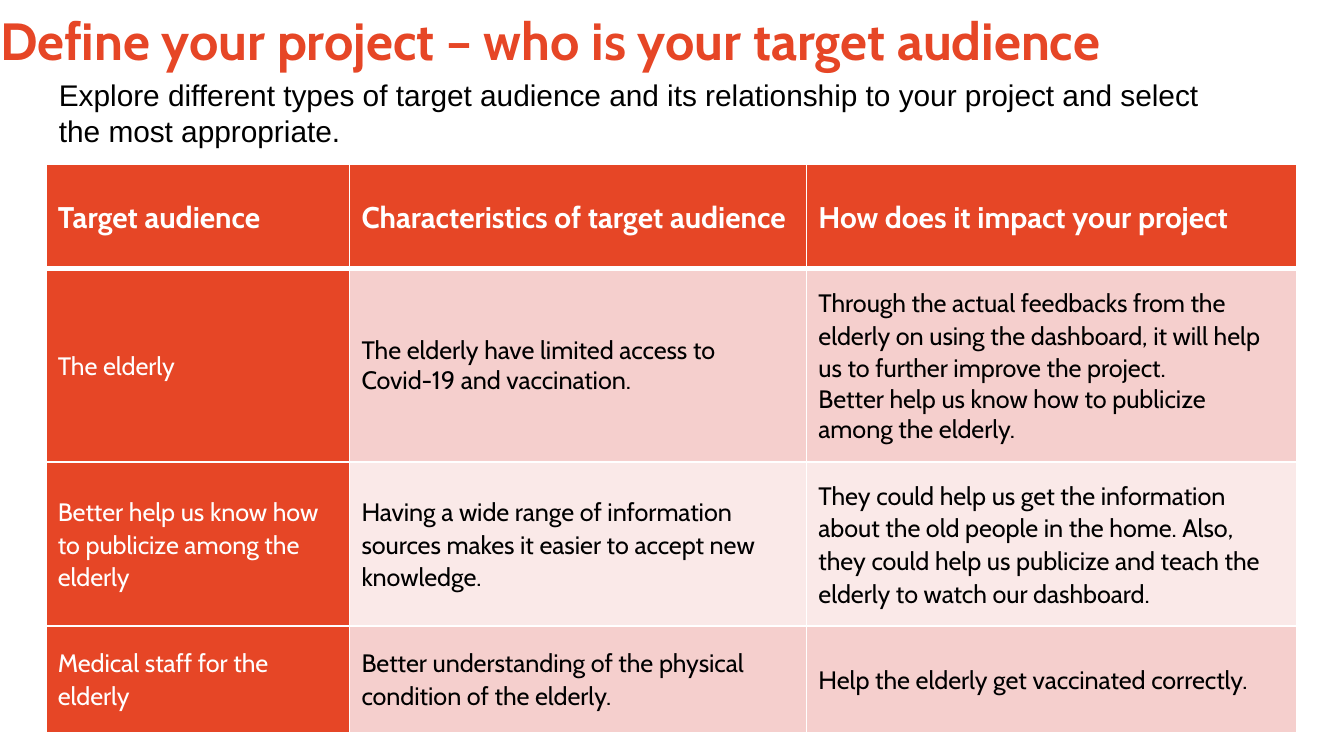
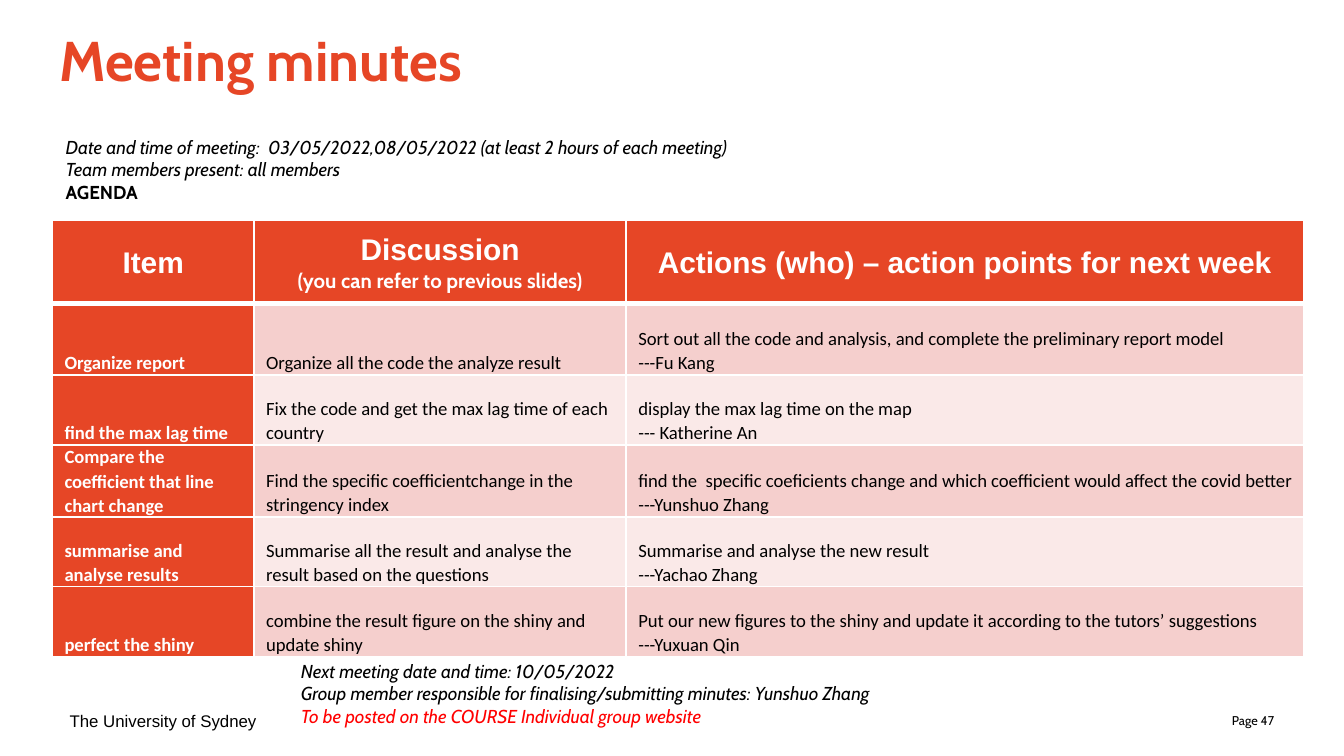
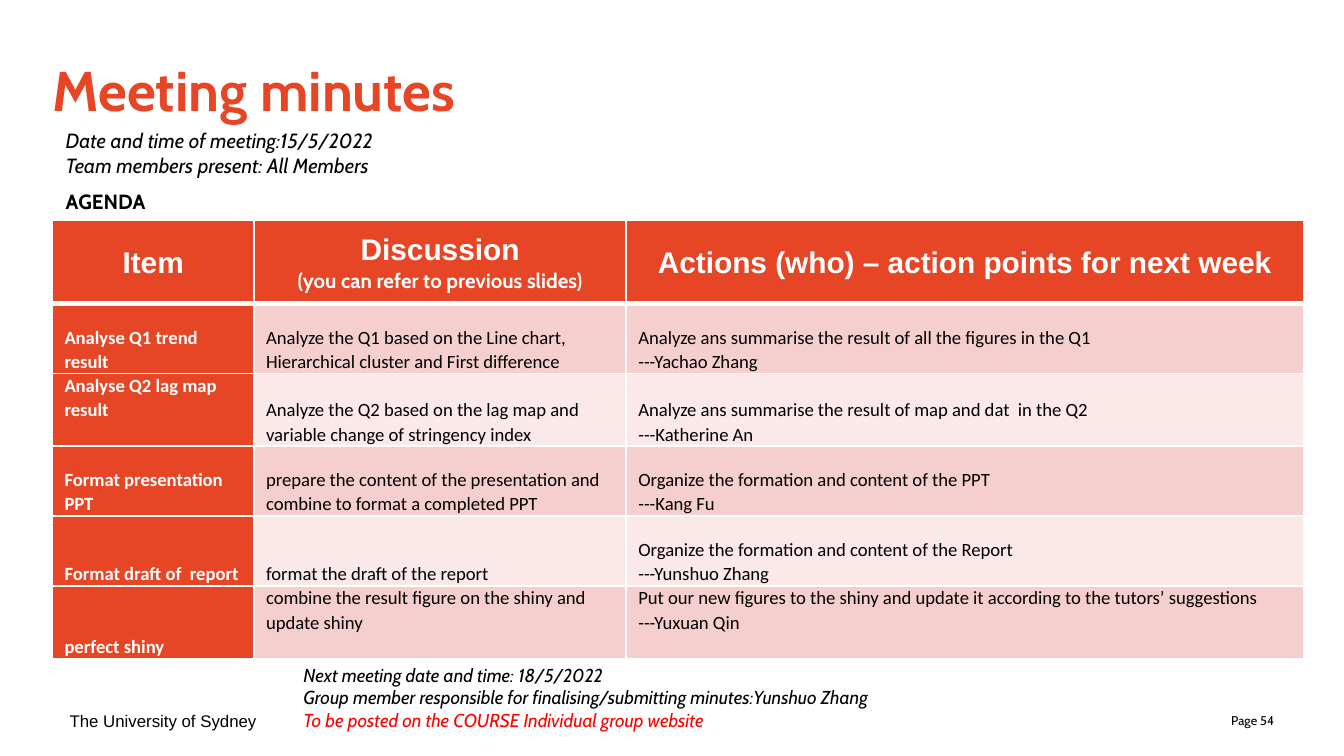
from dataclasses import dataclass, replace

from lxml.etree import SubElement
from pptx import Presentation
from pptx.dml.color import RGBColor
from pptx.enum.text import MSO_ANCHOR, PP_ALIGN
from pptx.oxml.ns import qn
from pptx.util import Inches, Pt

RED, PINK, PALE = "E64626", "F5CFCD", "FAE9E8"
WHITE, BLACK, ALERT = "FFFFFF", "000000", "FF0000"
LEAD = 1.07


@dataclass(frozen=True)
class Face:
    size: float
    font: str = "Cabin"
    color: str = BLACK
    bold: bool = False
    italic: bool = False


@dataclass(frozen=True)
class Line:
    """One paragraph with its look."""
    text: str
    face: Face
    lead: float | None = None
    align: PP_ALIGN = PP_ALIGN.LEFT
    gap: float = 0


@dataclass(frozen=True)
class Box:
    left: float
    top: float
    width: float
    height: float


@dataclass(frozen=True)
class Cell:
    lines: list[Line]
    anchor: MSO_ANCHOR


@dataclass(frozen=True)
class Task:
    item: str
    talk: str
    act: str
    who: str
    top: tuple[int, ...] = ()  # columns whose text sits at the top
    height: float = 0.52


@dataclass(frozen=True)
class Meeting:
    title: Box
    intro: Box
    outro: Box
    heads: list[Line]
    tasks: list[Task]
    ends: list[str]
    page: int


HEAD = Face(16, "Arial", WHITE, bold=True)
ITEM = Face(10, "Calibri", WHITE, bold=True)
BODY = Face(10, "Calibri")
NOTE = Face(10, italic=True)
LARGE = replace(NOTE, size=11)
SIDE = Face(13.5, color=WHITE)
TEXT = Face(13.5)
TOP, MID, LOW = MSO_ANCHOR.TOP, MSO_ANCHOR.MIDDLE, MSO_ANCHOR.BOTTOM


def rgb(color: str) -> RGBColor:
    return RGBColor.from_string(color)


def write(frame, lines: list[Line]) -> None:
    for i, line in enumerate(lines):
        para = frame.add_paragraph() if i else frame.paragraphs[0]
        para.alignment = line.align
        if line.lead:
            para.line_spacing = line.lead
        if line.gap:
            para.space_before = Pt(line.gap)
        run = para.add_run()
        run.text = line.text
        font, face = run.font, line.face
        font.size, font.name = Pt(face.size), face.font
        font.bold, font.italic = face.bold, face.italic
        font.color.rgb = rgb(face.color)


def place(shape, box: Box) -> None:
    shape.left, shape.top = Inches(box.left), Inches(box.top)
    shape.width, shape.height = Inches(box.width), Inches(box.height)


def add_text(slide, box: Box, lines: list[Line], anchor=TOP) -> None:
    shape = slide.shapes.add_textbox(0, 0, 0, 0)
    place(shape, box)
    frame = shape.text_frame
    frame.word_wrap = True
    frame.vertical_anchor = anchor
    write(frame, lines)


def add_slide(deck, text: str, box: Box, size: float):
    slide = deck.slides.add_slide(deck.slide_layouts[5])
    title = slide.shapes.title
    place(title, box)
    frame = title.text_frame
    frame.margin_left = frame.margin_right = 0
    frame.margin_top = frame.margin_bottom = 0
    frame.word_wrap, frame.vertical_anchor = True, TOP
    write(frame, [Line(text, Face(size, color=RED, bold=True))])
    return slide


def add_foot(slide, page: int) -> None:
    number = Line(f"Page {page}", Face(6.8), align=PP_ALIGN.RIGHT)
    add_text(slide, Box(7.25, 5.21, 2.33, 0.3), [number], MID)
    school = Line("The University of Sydney", Face(9, "Arial"))
    add_text(slide, Box(0.42, 5.21, 2.33, 0.3), [school], MID)


def edge(cell, side: str, width: float) -> None:
    """Draw one white border of a cell."""
    line = SubElement(cell._tc.get_or_add_tcPr(), qn(f"a:ln{side}"), w=str(Pt(width)))
    fill = SubElement(line, qn("a:solidFill"))
    SubElement(fill, qn("a:srgbClr"), val=WHITE)


def add_grid(slide, left: float, top: float, cols: list[float],
             rows: list[float], cells: list[list[Cell]]) -> None:
    """Table with a red header row and first column, and pink bands."""
    table = slide.shapes.add_table(
        len(rows), len(cols), Inches(left), Inches(top),
        Inches(sum(cols)), Inches(sum(rows))).table
    for col, width in zip(table.columns, cols):
        col.width = Inches(width)
    for row, height in zip(table.rows, rows):
        row.height = Inches(height)
    for r, line in enumerate(cells):
        for c, item in enumerate(line):
            cell = table.cell(r, c)
            cell.margin_left = cell.margin_right = Inches(0.09)
            cell.margin_top = cell.margin_bottom = 0
            cell.vertical_anchor = item.anchor
            edge(cell, "L", 1)
            edge(cell, "R", 1)
            edge(cell, "T", 3 if r == 1 else 1)
            edge(cell, "B", 3 if r == 0 else 1)
            cell.fill.solid()
            tint = RED if r == 0 or c == 0 else PINK if r % 2 else PALE
            cell.fill.fore_color.rgb = rgb(tint)
            write(cell.text_frame, item.lines)


def add_target(deck) -> None:
    slide = add_slide(deck, "Define your project – who is your target audience",
                      Box(0, 0.06, 10, 0.53), 28)
    head = replace(HEAD, font="Cabin")
    names = ["Target audience", "Characteristics of target audience",
             "How does it impact your project"]
    rows = [
        ("The elderly", None, None),
        ("Better help us know how to publicize among the elderly",
         "Having a wide range of information sources makes it easier to accept "
         "new knowledge.",
         "They could help us get the information about the old people in the home. "
         "Also, they could help us publicize and teach the elderly to watch our "
         "dashboard."),
        ("Medical staff for the elderly",
         "Better understanding of the physical condition of the elderly.",
         "Help the elderly get vaccinated correctly."),
    ]
    cells = [[Cell([Line(name, head, LEAD)], MID) for name in names]]
    for row in rows:
        cells.append([Cell([Line(text, TEXT if c else SIDE, LEAD)] if text else [], MID)
                      for c, text in enumerate(row)])
    cells[1][1].lines.append(
        Line("The elderly have limited access to Covid-19 and vaccination.", TEXT))
    cells[1][2].lines.extend([
        Line("Through the actual feedbacks from the elderly on using the dashboard, "
             "it will help us to further improve the project.", TEXT, LEAD),
        Line("Better help us know how to publicize among the elderly.", TEXT)])
    add_grid(slide, 0.34, 1.22, [2.26, 3.4, 3.65], [0.78, 1.44, 1.22, 0.79], cells)
    lead = Face(16, "Arial")
    add_text(slide, Box(0.34, 0.52, 8.86, 0.91), [
        Line("Explore different types of target audience and its relationship to "
             "your project and select", lead),
        Line("the most appropriate.", lead)])


def add_meeting(deck, meet: Meeting) -> None:
    slide = add_slide(deck, "Meeting minutes", meet.title, 30)
    add_foot(slide, meet.page)

    def head(text: str, face: Face = HEAD) -> Line:
        return Line(text, face, LEAD, PP_ALIGN.CENTER)

    hint = replace(HEAD, size=11, font="Cabin")
    cells = [[
        Cell([head("Item")], MID),
        Cell([head("Discussion"), head("(you can refer to previous slides)", hint)], MID),
        Cell([head("Actions (who) – action points for next week")], MID)]]
    for task in meet.tasks:
        texts = [[task.item], [task.talk], [task.act, task.who]]
        cells.append([
            Cell([Line(text, BODY if c else ITEM, LEAD) for text in part],
                 TOP if c in task.top else LOW)
            for c, part in enumerate(texts)])
    add_grid(slide, 0.39, 1.64, [1.5, 2.77, 5.04],
             [0.62] + [task.height for task in meet.tasks], cells)
    add_text(slide, meet.intro, meet.heads, MID)
    post = Line("To be posted on the COURSE Individual group website",
                replace(NOTE, color=ALERT))
    add_text(slide, meet.outro, [Line(text, NOTE) for text in meet.ends] + [post])


SHARED = ("combine the result figure on the shiny and update shiny",
          "Put our new figures to the shiny and update it according to the "
          "tutors’ suggestions",
          "---Yuxuan Qin")

MEETINGS = [
    Meeting(
        Box(0.44, 0.19, 9.22, 0.53), Box(0.39, 0.96, 7.53, 0.6),
        Box(2.14, 4.86, 5.81, 0.6),
        [Line("Date and time of meeting:  03/05/2022,08/05/2022 "
              "(at least 2 hours of each meeting)", NOTE),
         Line("Team members present: all members", NOTE),
         Line("AGENDA", Face(10, bold=True))],
        [Task("Organize report", "Organize all the code the analyze result",
              "Sort out all the code and analysis, and complete the preliminary "
              "report model", "---Fu Kang", height=0.53),
         Task("find the max lag time",
              "Fix the code and get the max lag time of each country",
              "display the max lag time on the map", "--- Katherine An"),
         Task("Compare the coefficient that line chart change",
              "Find the specific coefficientchange in the stringency index",
              "find the  specific coeficients change and which coefficient would "
              "affect the covid better", "---Yunshuo Zhang"),
         Task("summarise and analyse results",
              "Summarise all the result and analyse the result based on the questions",
              "Summarise and analyse the new result", "---Yachao Zhang"),
         Task("perfect the shiny", *SHARED)],
        ["Next meeting date and time: 10/05/2022",
         "Group member responsible for finalising/submitting minutes: Yunshuo Zhang"],
        47),
    Meeting(
        Box(0.39, 0.41, 9.22, 0.53), Box(0.39, 0.9, 5.14, 0.74),
        Box(2.16, 4.89, 5.57, 0.77),
        [Line("Date and time of meeting:15/5/2022", LARGE),
         Line("Team members present: All Members", LARGE),
         Line("AGENDA", Face(11, bold=True), gap=6)],
        [Task("Analyse Q1 trend result",
              "Analyze the Q1 based on the Line chart, Hierarchical cluster and "
              "First difference",
              "Analyze ans summarise the result of all the figures in the Q1",
              "---Yachao Zhang"),
         Task("Analyse Q2 lag map result",
              "Analyze the Q2 based on the lag map and variable change of "
              "stringency index",
              "Analyze ans summarise the result of map and dat  in the Q2",
              "---Katherine An", top=(0,), height=0.54),
         Task("Format presentation PPT",
              "prepare the content of the presentation and combine to format a "
              "completed PPT",
              "Organize the formation and content of the PPT", "---Kang Fu"),
         Task("Format draft of  report", "format the draft of the report",
              "Organize the formation and content of the Report",
              "---Yunshuo Zhang"),
         Task("perfect shiny", *SHARED, top=(1, 2), height=0.54)],
        ["Next meeting date and time: 18/5/2022",
         "Group member responsible for finalising/submitting minutes:Yunshuo Zhang"],
        54),
]


def main() -> None:
    deck = Presentation()
    deck.slide_width = Inches(10)
    deck.slide_height = deck.slide_width * 9 // 16
    add_target(deck)
    for meet in MEETINGS:
        add_meeting(deck, meet)
    deck.save("out.pptx")


if __name__ == "__main__":
    main()
